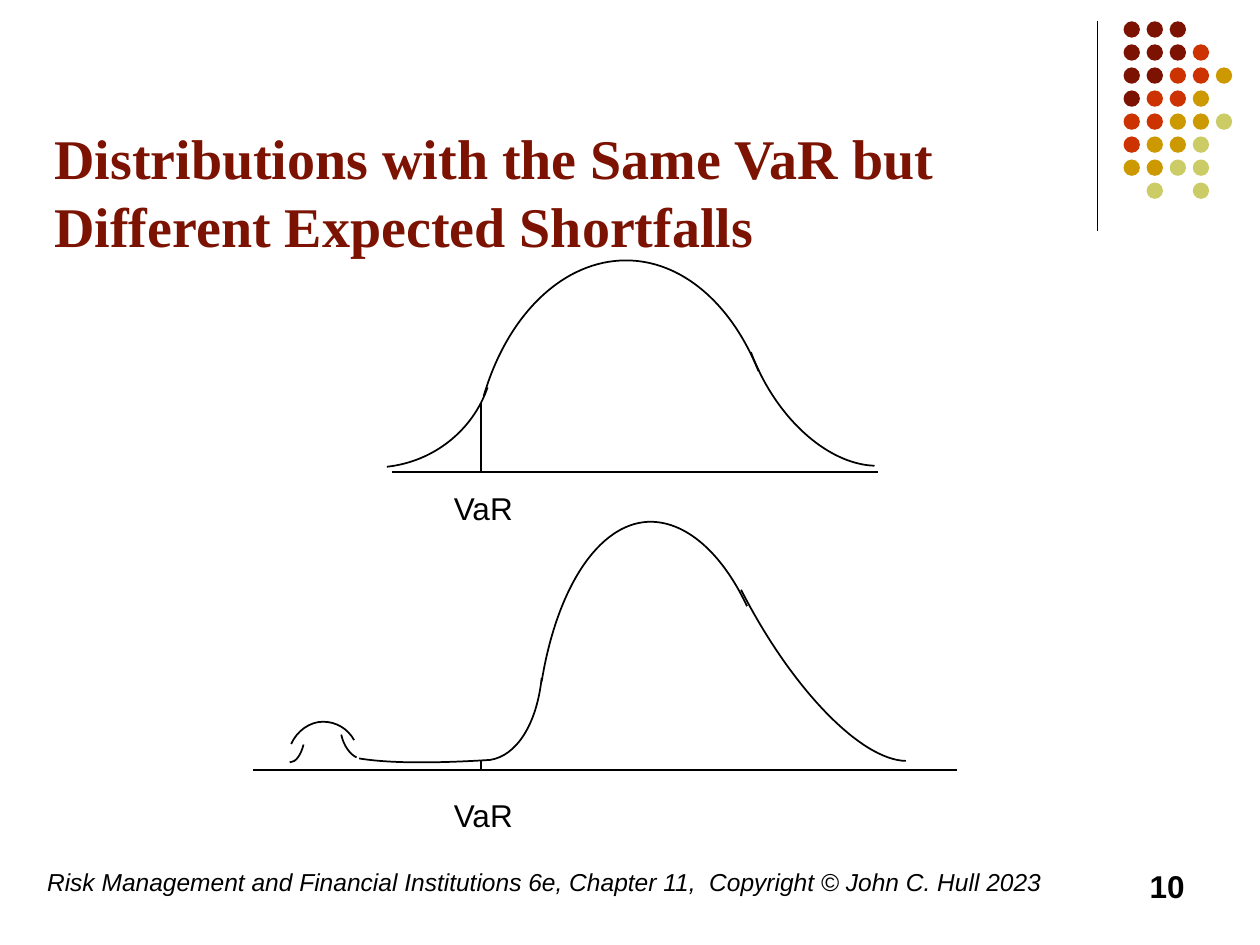
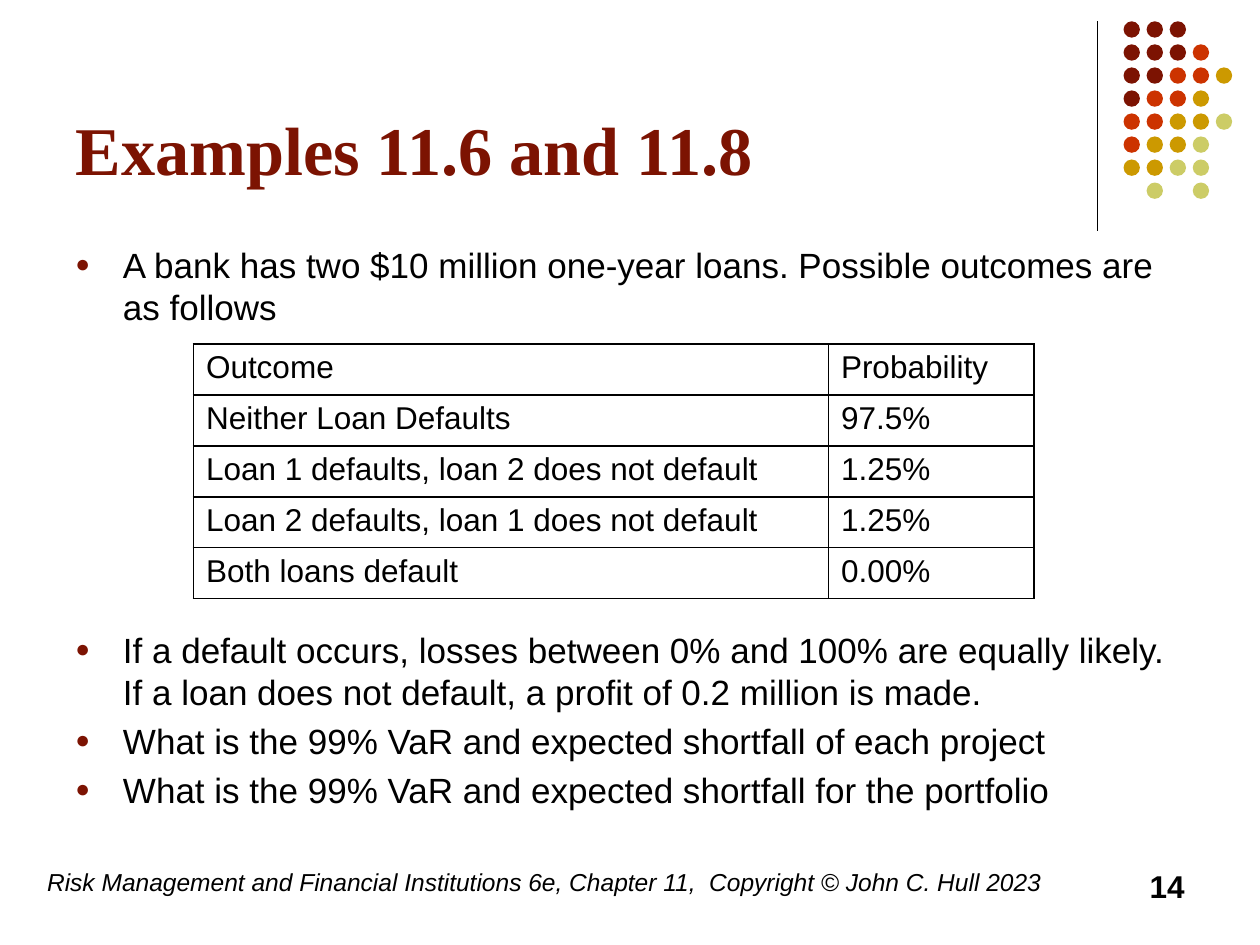
from copy import deepcopy
from dataclasses import dataclass
from lxml.etree import SubElement
from pptx import Presentation
from pptx.dml.color import RGBColor
from pptx.enum.shapes import MSO_CONNECTOR as Connector, MSO_SHAPE as Preset
from pptx.enum.text import MSO_ANCHOR as Anchor, MSO_AUTO_SIZE as AutoSize, PP_ALIGN as Align
from pptx.oxml.ns import qn
from pptx.util import Cm, Pt


@dataclass(frozen=True)
class Theme:
    ink: str = "000000"
    accent: str = "7C1302"
    dots: tuple = ("7C1302", "CC3300", "CC9900", "CCCC66")
    heading_font: str = "Times New Roman"
    body_font: str = "Arial"
    body_size: int = 20
    label_size: int = 18
    footer_size: int = 14
    hairline: float = 0.75
    stroke: float = 1


@dataclass(frozen=True)
class Box:
    left: float
    top: float
    width: float
    height: float

    def inner(self, left, top, width, height):
        return Box(self.left + left, self.top + top, width, height)

    def point(self, x, y):
        return Cm(self.left + x), Cm(self.top + y)

    def lengths(self):
        return [Cm(n) for n in (self.left, self.top, self.width, self.height)]


THEME = Theme()
FOOTER = "Risk Management and Financial Institutions 6e, Chapter 11,  Copyright © John C. Hull 2023"
DOT_ROWS = ("000", "0001", "00112", "0112", "11223", "1223", "2233", " 3 3")

UPPER_ARCS = (
    ((-0.31, 1.93), (2.03, 2.56), (1.73, 3.43), (0.94, 4.06), (0, 4.16)),
    ((4.82, 4.6), (1.95, 2.74), (2.44, 1.06), (3.58, 0), (4.82, 0),
     (5.92, 0), (6.93, 0.84), (7.49, 2.23)),
    ((9.22, 1.47), (9.83, 4.14), (8.99, 4.11), (8.08, 3.38), (7.54, 2.31),
     (7.47, 2.16), (7.39, 2), (7.34, 1.85)),
)
LOWER_ARCS = (
    ((0.67, 4.31), (1.02, 4.49), (0.97, 4.69), (0.87, 4.85), (0.74, 4.85)),
    ((1.41, 4.85), (0.77, 4.48), (0.89, 4.21), (1.15, 4.03), (1.41, 4.03),
     (1.68, 4.03), (1.91, 4.17), (2.04, 4.4)),
    ((2.09, 4.21), (2.09, 4.75), (1.96, 4.69), (1.83, 4.52), (1.78, 4.29)),
    ((10.83, 1.98), (4.78, 4.8), (3.66, 4.87), (2.75, 4.87), (2.14, 4.77)),
    ((4.45, 2.26), (5.82, 3.15), (5.72, 4.09), (5.31, 4.72), (4.78, 4.8)),
    ((8.24, 5.2), (5.82, 3.22), (6.13, 1.32), (6.97, 0.05), (7.96, 0),
     (8.69, -0.03), (9.43, 0.58), (9.96, 1.7)),
    ((11.38, 0.55), (13.16, 4.82), (12.25, 4.8), (10.85, 3.35), (9.84, 1.37)),
)

BULLETS = (
    ("A bank has two $10 million one-year loans. Possible outcomes are as follows", 0),
    ("If a default occurs, losses between 0% and 100% are equally likely. "
     "If a loan does not default, a profit of 0.2 million is made.", 172),
    ("What is the 99% VaR and expected shortfall of each project", 4),
    ("What is the 99% VaR and expected shortfall for the portfolio", 4),
)
OUTCOMES = (
    ("Outcome", "Probability"),
    ("Neither Loan Defaults", "97.5%"),
    ("Loan 1 defaults, loan 2 does not default", "1.25%"),
    ("Loan 2 defaults, loan 1 does not default", "1.25%"),
    ("Both loans default", "0.00%"),
)


def color(value):
    return RGBColor.from_string(value)


def add_span(para, text, size, name=THEME.body_font, ink=THEME.ink, bold=False, italic=False):
    span = para.add_run()
    span.text = text
    font = span.font
    font.size, font.name, font.bold, font.italic = Pt(size), name, bold, italic
    font.color.rgb = color(ink)


def add_text_frame(page, box):
    frame = page.shapes.add_textbox(*box.lengths()).text_frame
    frame.word_wrap = True
    return frame


def add_line(page, box, start, end, weight):
    line = page.shapes.add_connector(Connector.STRAIGHT, *box.point(*start), *box.point(*end))
    line.line.color.rgb = color(THEME.ink)
    line.line.width = Pt(weight)
    SubElement(line._element.spPr, qn("a:effectLst"))


def bend_outline(outline):
    *controls, pivot = outline.findall(qn("a:lnTo"))
    for first in range(0, len(controls), 3):
        bend = SubElement(outline, qn("a:cubicBezTo"))
        for control in controls[first:first + 3]:
            bend.append(control[0])
            outline.remove(control)
    outline.remove(pivot)
    sector = deepcopy(outline)
    sector.set("stroke", "0")
    sector.append(pivot)
    SubElement(sector, qn("a:close"))
    outline.set("fill", "none")
    outline.addnext(sector)


def add_arc(page, box, pivot, *controls):
    start, *others = [box.point(*point) for point in (*controls, pivot)]
    builder = page.shapes.build_freeform(*start)
    builder.add_line_segments(others, close=False)
    arc = builder.convert_to_shape()
    bend_outline(next(arc._element.iter(qn("a:path"))))
    arc.shadow.inherit = False
    arc.fill.background()
    arc.line.color.rgb = color(THEME.ink)
    arc.line.width = Pt(THEME.stroke)


def add_corner(page, box):
    add_line(page, box, (0, 0), (0, box.height), THEME.hairline)
    size = 0.33
    field = box.inner(0.53, 0, 2.19, 3.58)
    across = (field.width - size) / 4
    down = (field.height - size) / (len(DOT_ROWS) - 1)
    for row, marks in enumerate(DOT_ROWS):
        for column, mark in enumerate(marks):
            if mark == " ":
                continue
            spot = field.inner(column * across, row * down, size, size)
            dot = page.shapes.add_shape(Preset.OVAL, *spot.lengths())
            dot.shadow.inherit = False
            dot.fill.solid()
            dot.fill.fore_color.rgb = color(THEME.dots[int(mark)])
            dot.line.fill.background()


def add_title(page, box, text, size, bottom):
    title = page.shapes.title
    title.left, title.top, title.width, title.height = box.lengths()
    frame = title.text_frame
    frame.auto_size = AutoSize.NONE
    frame.word_wrap = True
    frame.vertical_anchor = Anchor.BOTTOM
    frame.margin_bottom = Cm(bottom)
    para = frame.paragraphs[0]
    para.alignment = Align.LEFT
    add_span(para, text, size, THEME.heading_font, THEME.accent, bold=True)


def add_footer(page, box, number):
    note = add_text_frame(page, box.inner(0, 0, 21, box.height))
    add_span(note.paragraphs[0], FOOTER, THEME.footer_size, italic=True)
    corner = add_text_frame(page, box.inner(box.width - 5.92, 0, 5.92, box.height))
    corner.paragraphs[0].alignment = Align.RIGHT
    add_span(corner.paragraphs[0], str(number), THEME.label_size, bold=True)


def add_page(deck, title_box, title, size, number, bottom=0.13):
    page = deck.slides.add_slide(deck.slide_layouts[5])
    add_corner(page, Box(22.12, 0.43, 2.72, 4.22))
    add_title(page, title_box, title, size, bottom)
    add_footer(page, Box(0.7, 17.35, 23.43, 1.27), number)
    return page


def add_distribution(page, box, arcs, axis_start, var_x, var_top, label_gap):
    for arc in arcs:
        add_arc(page, box, *arc)
    add_line(page, box, (axis_start, box.height), (box.width, box.height), THEME.stroke)
    add_line(page, box, (var_x, var_top), (var_x, box.height), THEME.stroke)
    label = add_text_frame(page, box.inner(var_x - 0.8, box.height + label_gap, 2.1, 1.02))
    add_span(label.paragraphs[0], "VaR", THEME.label_size)


def add_bullets(page, box):
    frame = add_text_frame(page, box)
    for index, (text, gap) in enumerate(BULLETS):
        para = frame.paragraphs[0] if index == 0 else frame.add_paragraph()
        if gap:
            para.space_before = Pt(gap)
        props = para._p.get_or_add_pPr()
        props.set("marL", str(Cm(0.96)))
        props.set("indent", str(Cm(-0.96)))
        SubElement(SubElement(props, qn("a:buClr")), qn("a:srgbClr"), val=THEME.accent)
        SubElement(props, qn("a:buSzPct"), val="70000")
        SubElement(props, qn("a:buFont"), typeface=THEME.body_font)
        SubElement(props, qn("a:buChar"), char="●")
        add_span(para, text, THEME.body_size)


def add_cell_borders(cell):
    props = cell._tc.get_or_add_tcPr()
    for position, side in enumerate(("a:lnL", "a:lnR", "a:lnT", "a:lnB")):
        edge = SubElement(props, qn(side), w=str(Pt(THEME.stroke)))
        SubElement(SubElement(edge, qn("a:solidFill")), qn("a:srgbClr"), val=THEME.ink)
        props.insert(position, edge)


def add_outcome_table(page, box):
    table = page.shapes.add_table(len(OUTCOMES), 2, *box.lengths()).table
    table.first_row = table.horz_banding = False
    for column, width in zip(table.columns, (12.8, box.width - 12.8)):
        column.width = Cm(width)
    for row, values in zip(table.rows, OUTCOMES):
        row.height = Cm(box.height / len(OUTCOMES))
        for cell, value in zip(row.cells, values):
            cell.fill.background()
            add_cell_borders(cell)
            add_span(cell.text_frame.paragraphs[0], value, THEME.label_size)


def add_distributions_page(deck):
    page = add_page(deck, Box(0.84, 1.98, 21.39, 4.37),
                    "Distributions with the Same VaR but Different Expected Shortfalls", 32, 10, 1.14)
    add_distribution(page, Box(7.8, 5.25, 9.9, 4.27), UPPER_ARCS, 0.1, 1.9, 2.87, 0.21)
    add_distribution(page, Box(5.1, 10.52, 14.2, 5), LOWER_ARCS, 0, 4.6, 4.8, 0.41)


def add_examples_page(deck):
    page = add_page(deck, Box(1.27, 0.33, 20.96, 3.61), "Examples 11.6 and 11.8", 39, 14)
    add_bullets(page, Box(1.27, 4.78, 22.86, 12.24))
    add_outcome_table(page, Box(3.9, 6.93, 16.94, 5.14))


def main():
    deck = Presentation()
    deck.slide_width, deck.slide_height = Cm(25.4), Cm(19.05)
    add_distributions_page(deck)
    add_examples_page(deck)
    deck.save("out.pptx")


if __name__ == "__main__":
    main()
